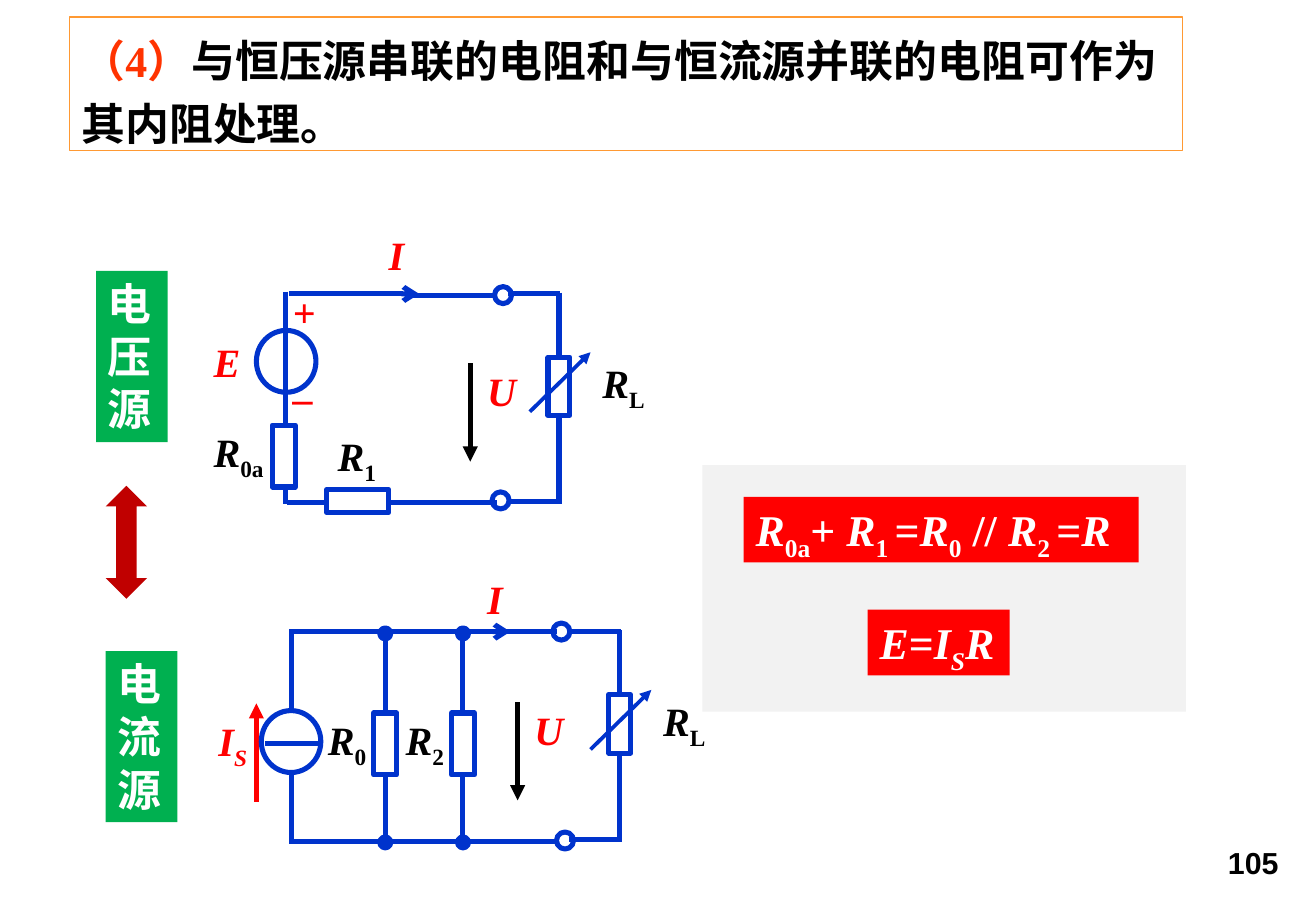
import dataclasses
import typing

import lxml.etree
import pptx
import pptx.dml.color
import pptx.enum.shapes
import pptx.enum.text
import pptx.oxml.ns
import pptx.util

GRID = 0.1
FONT = "Times New Roman"
HEX = {
    "blue": "0033CC", "red": "FF0000", "black": "000000", "white": "FFFFFF",
    "green": "00B050", "grey": "F2F2F2", "brick": "C00000",
    "orange": "FF9933", "scarlet": "FF3300",
}
KIND = pptx.enum.shapes.MSO_SHAPE
ALIGN = pptx.enum.text.PP_ALIGN
FIT = pptx.enum.text.MSO_AUTO_SIZE


class Run(typing.NamedTuple):
    text: str
    tilt: bool = True
    sub: bool = False


@dataclasses.dataclass
class Wire:
    x: float
    y: float
    to_x: float
    to_y: float
    hue: str = "blue"
    head: str = ""
    width: float = 3


@dataclasses.dataclass
class Box:
    col: float
    row: float
    cols: float
    rows: float
    kind: int = KIND.RECTANGLE
    fill: str = ""
    line: str = ""
    runs: tuple = ()
    wrap: bool = False


@dataclasses.dataclass
class Tag:
    col: float
    row: float
    cols: float
    runs: tuple
    hue: str = "red"
    size: float = 23.8
    rows: float = 5
    font: str = FONT
    align: int = ALIGN.LEFT


def cell(count: float) -> int:
    return pptx.util.Inches(count * GRID)


def tint(name: str) -> pptx.dml.color.RGBColor:
    return pptx.dml.color.RGBColor.from_string(HEX[name])


def write(frame, runs: tuple, hue: str, size: float, font: str = FONT,
          align: int = ALIGN.LEFT, wrap: bool = False) -> None:
    frame.word_wrap = wrap
    frame.auto_size = FIT.SHAPE_TO_FIT_TEXT
    frame.vertical_anchor = pptx.enum.text.MSO_ANCHOR.TOP
    para = frame.paragraphs[0]
    para.alignment = align
    para.font.name = font
    para.font.size = pptx.util.Pt(size)
    para.font.bold = True
    para.font.color.rgb = tint(hue)
    for part in runs:
        run = para.add_run()
        run.text = part.text
        run.font.italic = part.tilt
        if part.sub:
            run._r.get_or_add_rPr().set("baseline", "-25000")


def draw_wire(slide, wire: Wire) -> None:
    link = slide.shapes.add_connector(
        pptx.enum.shapes.MSO_CONNECTOR.STRAIGHT,
        cell(wire.x), cell(wire.y), cell(wire.to_x), cell(wire.to_y))
    link.line.color.rgb = tint(wire.hue)
    link.line.width = pptx.util.Pt(wire.width)
    if wire.head:
        tail = lxml.etree.SubElement(link.line._get_or_add_ln(), pptx.oxml.ns.qn("a:tailEnd"))
        tail.set("type", wire.head)
    lxml.etree.SubElement(link._element.spPr, pptx.oxml.ns.qn("a:effectLst"))


def draw_box(slide, box: Box) -> None:
    shape = slide.shapes.add_shape(
        box.kind, cell(box.col), cell(box.row), cell(box.cols), cell(box.rows))
    shape.shadow.inherit = False
    if box.fill:
        shape.fill.solid()
        shape.fill.fore_color.rgb = tint(box.fill)
    else:
        shape.fill.background()
    if box.line:
        shape.line.color.rgb = tint(box.line)
        shape.line.width = pptx.util.Pt(3)
    else:
        shape.line.fill.background()
    if box.runs:
        write(shape.text_frame, box.runs, "white", 26, wrap=box.wrap)


def draw_tag(slide, tag: Tag) -> None:
    text = slide.shapes.add_textbox(
        cell(tag.col), cell(tag.row), cell(tag.cols), cell(tag.rows))
    write(text.text_frame, tag.runs, tag.hue, tag.size, tag.font, tag.align)


def draw_head(slide) -> None:
    title = slide.shapes.title
    title.left, title.top, title.width, title.height = map(cell, (5.7, 1.4, 91.6, 11))
    title.line.color.rgb = tint("orange")
    title.line.width = pptx.util.Pt(0.75)
    runs = (Run("（4）", False), Run("与恒压源串联的电阻和与恒流源并联的电阻可作为其内阻处理。", False))
    write(title.text_frame, runs, "black", 26, wrap=True)
    title.text_frame.auto_size = FIT.NONE
    para = title.text_frame.paragraphs[0]
    para.line_spacing = 1.2
    para.space_before = pptx.util.Pt(0)
    para.runs[0].font.color.rgb = tint("scarlet")


def sign(base: str, foot: str, tilt: bool = False) -> tuple:
    return Run(base), Run(foot, tilt, True)


def ring(col: float, row: float, size: float = 1.4, fill: str = "") -> Box:
    return Box(col, row, size, size, KIND.OVAL, fill, "blue")


def source(col: float, row: float) -> Box:
    return Box(col, row, 4.9, 5.1, KIND.OVAL, line="blue")


def ohm(col: float, row: float, cols: float = 1.9, rows: float = 5.1) -> Box:
    return Box(col, row, cols, rows, fill="white", line="blue")


def load(col: float, row: float) -> list:
    return [
        Wire(col, row, col + 4.3, row),
        Wire(col + 4.2, row - 0.1, col + 4.2, row + 17.3),
        ohm(col + 3.3, row + 5.2, 1.8, 4.8),
        Wire(col, row + 17.1, col + 4.3, row + 17.1),
        Tag(col + 6.8, row + 4.8, 5.7, sign("R", "L"), "black"),
        Wire(col + 1.8, row + 9.7, col + 6.8, row + 4.8, head="triangle", width=2.25),
    ]


def volt(col: float, row: float) -> list:
    return [
        Wire(col, row, col, row + 8.1, "black", "triangle"),
        Tag(col + 0.4, row - 0.2, 4.4, (Run("U"),)),
    ]


def branch(col: float, foot: str) -> list:
    return [
        Wire(col, 51.9, col, 69.5),
        ohm(col - 0.95, 58.7),
        Tag(col - 5.7, 58.4, 5.6, sign("R", foot), "black"),
        *(ring(col - 0.45, row, 0.9, "blue") for row in (51.7, 68.9)),
    ]


PANEL = [
    Tag(76.3, 69, 29.9, (Run("105", False),), "black", 18, 4, "Arial", ALIGN.RIGHT),
    Box(57.8, 38.3, 39.8, 20.3, fill="grey"),
    Box(7.9, 22.3, 5.9, 14.1, fill="green", runs=(Run("电压源", False),), wrap=True),
    Box(8.7, 53.6, 5.9, 14.1, fill="green", runs=(Run("电流源", False),), wrap=True),
    Box(8.7, 40, 3.4, 9.3, KIND.UP_DOWN_ARROW, "brick"),
    Box(61.2, 40.9, 32.5, 5.4, fill="red", runs=(
        *sign("R", "0a"), Run("+", False), *sign(" R", "1 "), Run("=", False),
        *sign("R", "0"), Run(" // ", False), *sign("R", "2 "), Run("=", False), Run("R"))),
    Box(71.4, 50.2, 11.7, 5.4, fill="red", runs=(
        Run("E"), Run("=", False), *sign("I", "S", True), Run("R"))),
]
UPPER = [
    *load(41.8, 24.2),
    Tag(31, 18.5, 3.3, (Run("I"),)),
    Tag(16.6, 27.3, 4.4, (Run("E"),)),
    source(21.1, 27.2),
    Wire(23.5, 24, 23.5, 41.5),
    Tag(23.1, 23.2, 4.1, (Run("+"),)),
    Tag(23.3, 29.1, 3.9, (Run("_"),)),
    Wire(23.8, 24.2, 34.5, 24.2, head="arrow"),
    Wire(33.9, 24.3, 40.9, 24.3),
    Wire(23.6, 41.4, 40.9, 41.4),
    *volt(38.7, 29.9),
    ohm(22.4, 35),
    Tag(16.6, 34.7, 6.7, sign("R", "0a"), "black"),
    ohm(26.9, 40.3, 5.1, 1.9),
    Tag(26.8, 35, 5.5, sign("R", "1"), "black"),
    ring(40.7, 23.6),
    ring(40.5, 40.5),
]
LOWER = [
    *load(46.8, 52),
    Wire(21.1, 66, 21.1, 57.9, "red", "triangle"),
    Tag(39.1, 46.8, 3.3, (Run("I"),)),
    Tag(17, 58.5, 4.7, sign("I", "S", True)),
    source(21.5, 58.5),
    Wire(24, 51.8, 24, 58.7),
    Wire(24, 63.5, 24, 69.4),
    Wire(21.8, 61.2, 26.5, 61.2),
    Wire(24.1, 52, 42, 52, head="arrow"),
    Wire(38.8, 52, 45.8, 52),
    Wire(23.8, 69.3, 46, 69.3),
    *volt(42.6, 57.8),
    ring(45.5, 51.3),
    ring(45.8, 68.5),
    *branch(31.7, "0"),
    *branch(38.1, "2"),
]
DRAW = {Wire: draw_wire, Box: draw_box, Tag: draw_tag}


def main() -> None:
    deck = pptx.Presentation()
    deck.slide_width = cell(108.3)
    deck.slide_height = cell(75)
    slide = deck.slides.add_slide(deck.slide_layouts[5])
    draw_head(slide)
    for part in PANEL + UPPER + LOWER:
        DRAW[type(part)](slide, part)
    deck.save("out.pptx")


if __name__ == "__main__":
    main()
